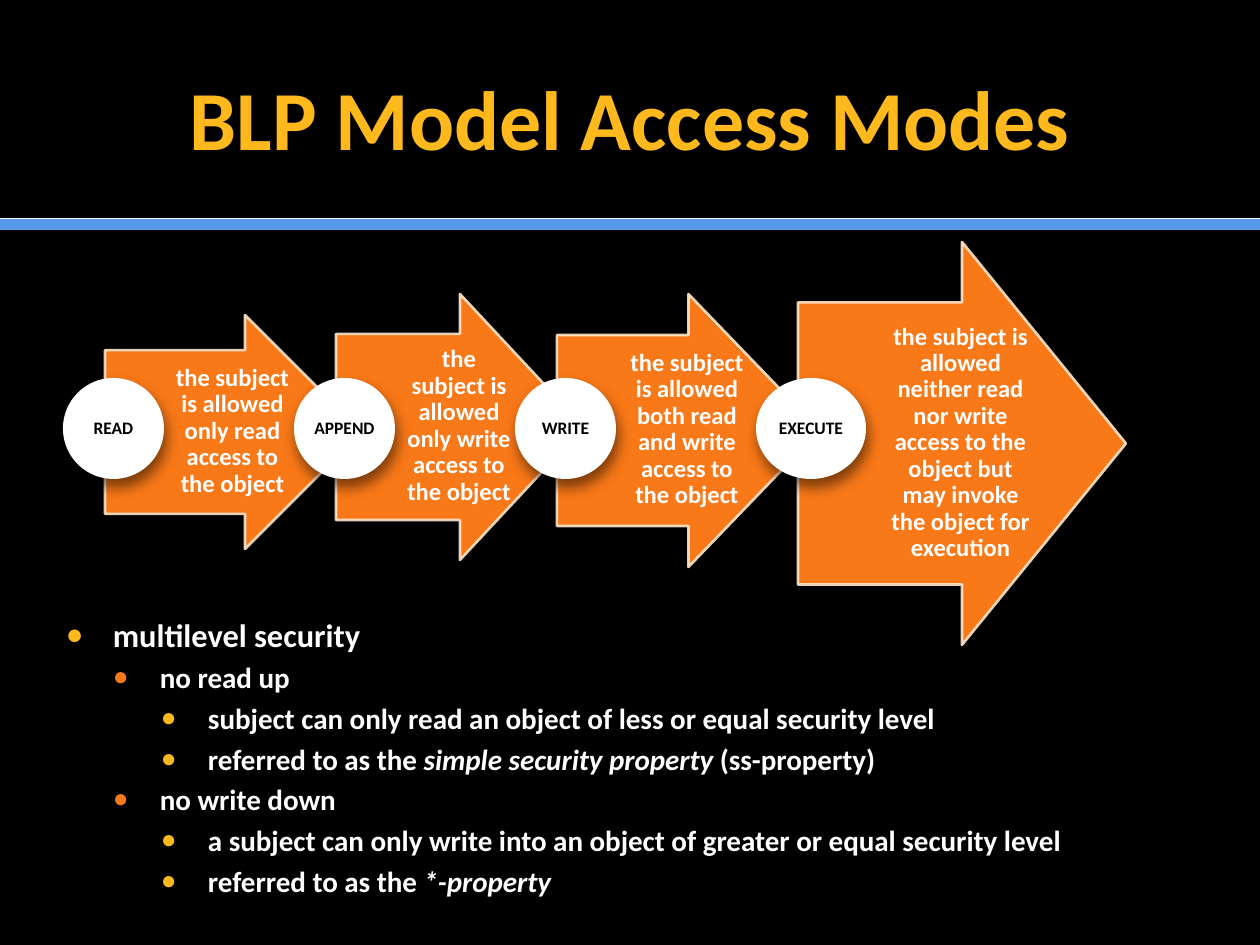
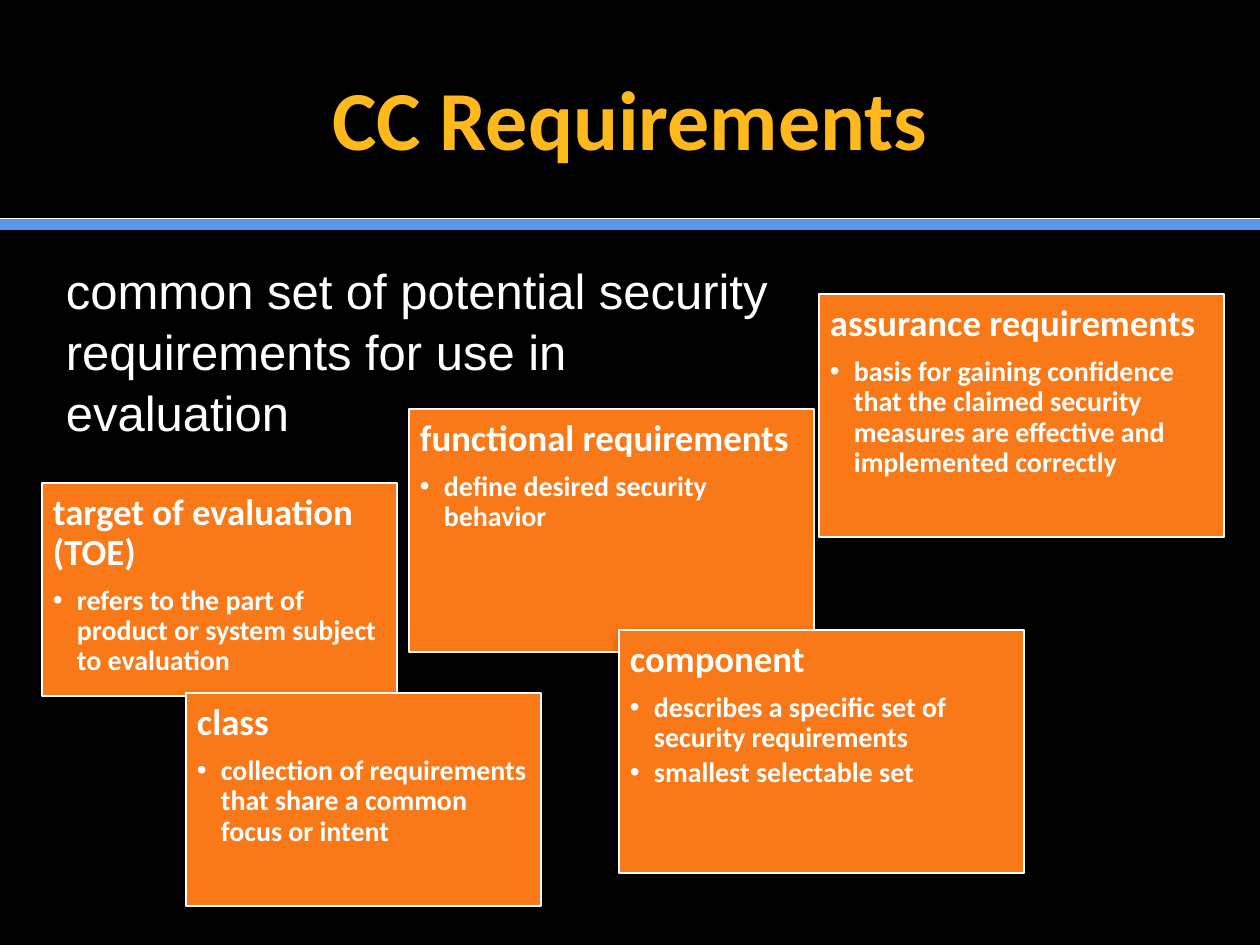
"""Build two security-model slides: access modes and Common Criteria requirements."""
from lxml.etree import SubElement
from pptx import Presentation
from pptx.dml.color import RGBColor
from pptx.enum.shapes import MSO_CONNECTOR as Connector, MSO_SHAPE as Shape
from pptx.enum.text import MSO_ANCHOR as Anchor, PP_ALIGN as Align
from pptx.oxml.ns import qn
from pptx.util import Emu, Pt

SCALE = 914400 / 126
COLORS = {
    "background": "000000",
    "gold": "FFB91D",
    "orange": "F97817",
    "cream": "FFE6CD",
    "blue": "5799E8",
    "white": "FFFFFF",
    "black": "000000",
}
HEADING_FONT, INTRO_FONT = "Calibri", "Arial"

ACCESS_MODES = [
    ("READ", "the subject is allowed only read access to the object", (105, 315, 257, 234), 101),
    ("APPEND", "the subject is allowed only write access to the object", (336, 294, 248, 266), 101),
    ("WRITE", "the subject is allowed both read and write access to the object",
     (557, 294, 263, 273), 101),
    ("EXECUTE", "the subject is allowed neither read nor write access to the object but "
     "may invoke the object for execution", (798, 242, 328, 403), 110),
]
SECURITY_RULES = [
    (0, [("multilevel security", False)]),
    (1, [("no read up", False)]),
    (2, [("subject can only read an object of less or equal security level", False)]),
    (2, [("referred to as the ", False), ("simple security property ", True),
         ("(ss-property)", False)]),
    (1, [("no write down", False)]),
    (2, [("a subject can only write into an object of greater or equal security level", False)]),
    (2, [("referred to as the ", False), ("*-property", True)]),
]
RULE_LEVELS = [(47, 47, "gold", 18.5), (94, 47, "orange", 16.6), (142, 47, "gold", 16.6)]

SMALL_CARD, LARGE_CARD = (355, 213), (405, 243)
CARDS = [
    ((42, 483), SMALL_CARD, "target of evaluation (TOE)",
     ["refers to the part of product or system subject to evaluation"]),
    ((186, 693), SMALL_CARD, "class",
     ["collection of requirements that share a common focus or intent"]),
    ((409, 409), LARGE_CARD, "functional requirements", ["define desired security behavior"]),
    ((819, 294), LARGE_CARD, "assurance requirements",
     ["basis for gaining confidence that the claimed security measures are effective "
      "and implemented correctly"]),
    ((619, 630), LARGE_CARD, "component",
     ["describes a specific set of security requirements", "smallest selectable set"]),
]


def px(length):
    return Emu(round(length * SCALE))


def rgb(color):
    return RGBColor.from_string(COLORS[color])


def add_run(paragraph, text, size, color="white", bold=True, italic=False, font=HEADING_FONT):
    run = paragraph.add_run()
    run.text = text
    run.font.name, run.font.size = font, Pt(size)
    run.font.bold, run.font.italic = bold, italic
    run.font.color.rgb = rgb(color)


def set_frame(shape, anchor=Anchor.TOP, insets=(13, 6, 13, 6)):
    frame = shape.text_frame
    frame.word_wrap = True
    frame.vertical_anchor = anchor
    frame.margin_left, frame.margin_top, frame.margin_right, frame.margin_bottom = map(px, insets)
    return frame


def add_box(slide, box, **frame_options):
    return set_frame(slide.shapes.add_textbox(*map(px, box)), **frame_options)


def add_paragraph(frame, first, align=Align.LEFT, spacing=None):
    paragraph = frame.paragraphs[0] if first else frame.add_paragraph()
    paragraph.alignment = align
    paragraph.line_spacing = spacing
    return paragraph


def add_bullet(paragraph, mark, margin, hanging, color, percent):
    properties = paragraph._p.get_or_add_pPr()
    properties.set("marL", str(px(margin)))
    properties.set("indent", str(-px(hanging)))
    tint = SubElement(properties, qn("a:buClr"))
    SubElement(tint, qn("a:srgbClr"), val=COLORS[color])
    SubElement(properties, qn("a:buSzPct"), val=str(percent * 1000))
    SubElement(properties, qn("a:buFont"), typeface="Arial")
    SubElement(properties, qn("a:buChar"), char=mark)


def add_alpha(color_element, percent):
    SubElement(color_element, qn("a:alpha"), val=str(percent * 1000))


def add_figure(slide, kind, box, fill, outline=None, width=0.75):
    figure = slide.shapes.add_shape(kind, *map(px, box))
    figure.shadow.inherit = False
    figure.fill.solid()
    figure.fill.fore_color.rgb = rgb(fill)
    if outline:
        figure.line.color.rgb = rgb(outline)
        figure.line.width = Pt(width)
    else:
        figure.line.fill.background()
    return figure


def add_shadow(figure):
    effects = figure._element.spPr.find(qn("a:effectLst"))
    shadow = SubElement(effects, qn("a:outerShdw"), blurRad=str(Pt(8)), dist=str(Pt(5)),
                        dir=str(70 * 60000), rotWithShape="0")
    add_alpha(SubElement(shadow, qn("a:srgbClr"), val=COLORS["black"]), 50)


def add_band(slide, y, color, width):
    band = slide.shapes.add_connector(Connector.STRAIGHT, 0, px(y), px(1260), px(y))
    band.line.color.rgb = rgb(color)
    band.line.width = Pt(width)
    SubElement(band._element.spPr, qn("a:effectLst"))


def start_slide(deck, title):
    slide = deck.slides.add_slide(deck.slide_layouts[6])
    slide.background.fill.solid()
    slide.background.fill.fore_color.rgb = rgb("background")
    add_band(slide, 224, "blue", 7)
    add_band(slide, 218, "white", 0.5)
    frame = add_box(slide, (63, 38, 1134, 158), anchor=Anchor.MIDDLE)
    add_run(add_paragraph(frame, True, Align.CENTER), title, 48, "gold")
    return slide


def add_access_mode(slide, mode, meaning, box, disc_width):
    x, y, width, height = box
    arrow = add_figure(slide, Shape.RIGHT_ARROW, box, "orange", "cream", 1.5)
    arrow.adjustments[0] = 0.7
    add_alpha(arrow._element.spPr.find(".//" + qn("a:ln")).find(".//" + qn("a:srgbClr")), 90)

    meaning_box = (x + width // 4, y + height * 15 // 100, width * 39 // 80, height * 7 // 10)
    frame = add_box(slide, meaning_box, anchor=Anchor.MIDDLE, insets=(5, 1, 3, 1))
    add_run(add_paragraph(frame, True, Align.CENTER, 0.9), meaning, 14)

    disc = add_figure(slide, Shape.OVAL, (x - 42, 378, disc_width, 101), "white")
    add_shadow(disc)
    frame = set_frame(disc, Anchor.MIDDLE, (1, 1, 1, 1))
    add_run(add_paragraph(frame, True, Align.CENTER, 0.9), mode, 10, "black")


def add_security_rules(slide, box):
    frame = add_box(slide, box)
    for index, (level, pieces) in enumerate(SECURITY_RULES):
        margin, hanging, color, size = RULE_LEVELS[level]
        paragraph = add_paragraph(frame, index == 0)
        add_bullet(paragraph, "●", margin, hanging, color, 90)
        if index:
            paragraph.space_before = Pt(size * 0.2)
        for text, italic in pieces:
            add_run(paragraph, text, size, italic=italic)


def add_card(slide, corner, size, heading, points):
    card = add_figure(slide, Shape.RECTANGLE, corner + size, "orange", "white")
    add_shadow(card)
    frame = set_frame(card, insets=(11, 11, 11, 11))
    paragraph = add_paragraph(frame, True, spacing=0.9)
    paragraph.space_after = Pt(7.35)
    add_run(paragraph, heading, 21)
    for point in points:
        paragraph = add_paragraph(frame, False, spacing=0.9)
        add_bullet(paragraph, "•", 24, 24, "white", 100)
        paragraph.space_after = Pt(2.4)
        add_run(paragraph, point, 16)


def build_access_modes(deck):
    slide = start_slide(deck, "BLP Model Access Modes")
    for access_mode in ACCESS_MODES:
        add_access_mode(slide, *access_mode)
    add_security_rules(slide, (53, 609, 1144, 305))


def build_requirements(deck):
    slide = start_slide(deck, "CC Requirements")
    for card in CARDS:
        add_card(slide, *card)
    intro = add_paragraph(add_box(slide, (53, 252, 756, 229)), True, spacing=1.04)
    add_run(intro, "common set of potential security requirements for use in evaluation",
            28, bold=False, font=INTRO_FONT)


def main():
    deck = Presentation()
    deck.slide_width, deck.slide_height = px(1260), px(945)
    build_access_modes(deck)
    build_requirements(deck)
    deck.save("out.pptx")


if __name__ == "__main__":
    main()
